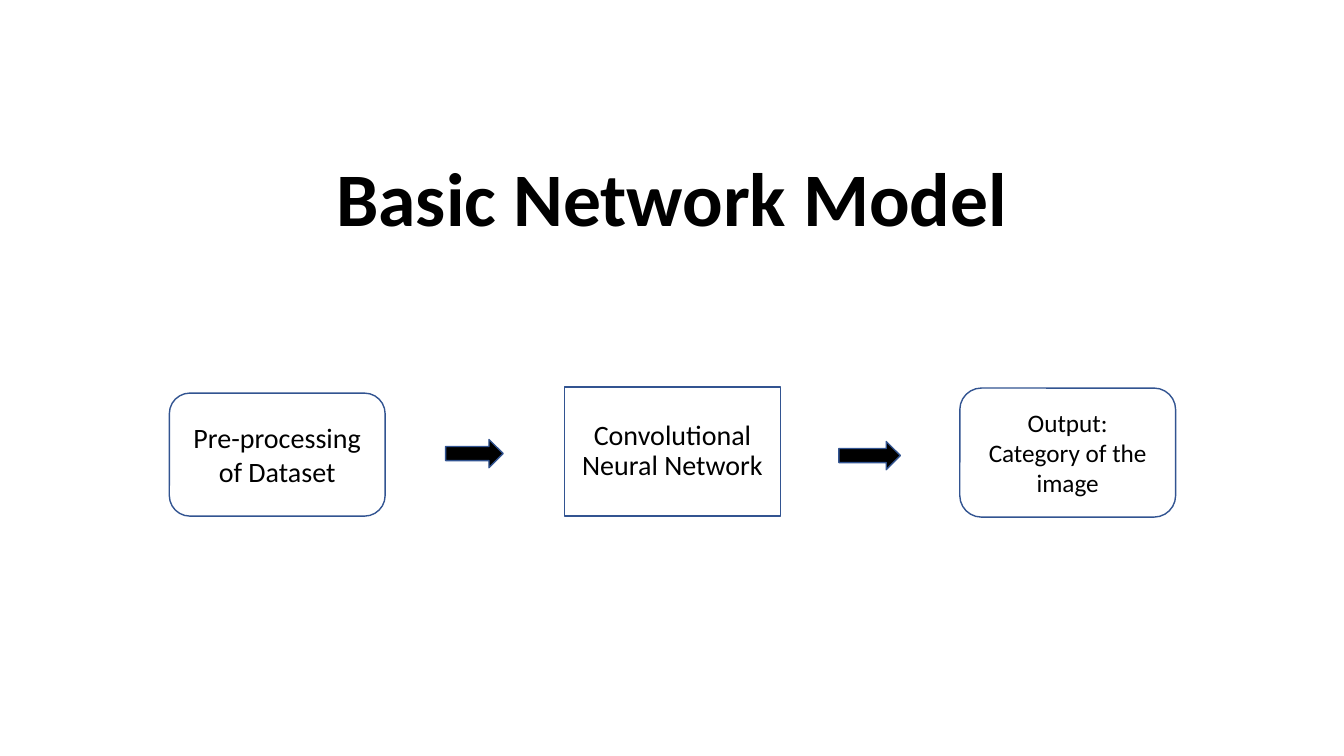
from dataclasses import dataclass

from pptx import Presentation
from pptx.dml.color import RGBColor
from pptx.enum import shapes, text
from pptx.util import Inches, Pt


@dataclass(frozen=True)
class Theme:
    font: str = "Calibri"
    ink: RGBColor = RGBColor(0x00, 0x00, 0x00)
    paper: RGBColor = RGBColor(0xFF, 0xFF, 0xFF)
    outline: RGBColor = RGBColor(0x32, 0x54, 0x91)
    outline_width: float = 1
    title_size: int = 54
    step_size: int = 20
    output_size: int = 18


def write_text(shape, lines, theme, *, size, bold=False, spacing=None,
               anchor=text.MSO_ANCHOR.MIDDLE):
    """Fill a shape with centred paragraphs, one for each line."""
    frame = shape.text_frame
    frame.word_wrap = True
    frame.vertical_anchor = anchor
    for index, line in enumerate(lines):
        para = frame.add_paragraph() if index else frame.paragraphs[0]
        para.alignment = text.PP_ALIGN.CENTER
        if spacing:
            para.line_spacing = spacing
        span = para.add_run()
        span.text = line
        span.font.name = theme.font
        span.font.size = Pt(size)
        span.font.bold = bold
        span.font.color.rgb = theme.ink


class SlideBuilder:
    def __init__(self, page, theme):
        self.page = page
        self.theme = theme

    def title(self, line, left, top, width, height):
        box = self.page.shapes.add_textbox(
            Inches(left), Inches(top), Inches(width), Inches(height))
        write_text(box, [line], self.theme, size=self.theme.title_size,
                   bold=True, spacing=0.9, anchor=text.MSO_ANCHOR.BOTTOM)

    def outlined(self, kind, left, top, width, height, fill):
        shape = self.page.shapes.add_shape(
            kind, Inches(left), Inches(top), Inches(width), Inches(height))
        shape.shadow.inherit = False
        shape.fill.solid()
        shape.fill.fore_color.rgb = fill
        shape.line.color.rgb = self.theme.outline
        shape.line.width = Pt(self.theme.outline_width)
        return shape

    def step(self, kind, lines, left, top, height, **style):
        box = self.outlined(kind, left, top, 2.14, height, self.theme.paper)
        write_text(box, lines, self.theme, **style)

    def arrow(self, left, top, width):
        self.outlined(shapes.MSO_SHAPE.RIGHT_ARROW, left, top, width, 0.28,
                      self.theme.ink)


def main():
    deck = Presentation()
    deck.slide_width, deck.slide_height = Inches(13.33), Inches(7.5)
    theme = Theme()
    slide = SlideBuilder(deck.slides.add_slide(deck.slide_layouts[6]), theme)
    rounded = shapes.MSO_SHAPE.ROUNDED_RECTANGLE
    square = shapes.MSO_SHAPE.RECTANGLE

    # Title
    slide.title("Basic Network Model", 1.92, -1.04, 9.49, 3.5)

    # Processing steps, left to right
    slide.step(rounded, ["Pre-processing of Dataset"], 1.68, 3.9, 1.22,
               size=theme.step_size)
    slide.arrow(4.42, 4.36, 0.57)
    slide.step(square, ["Convolutional Neural Network"], 5.6, 3.84, 1.28,
               size=theme.step_size, spacing=0.9)
    slide.arrow(8.32, 4.38, 0.61)
    slide.step(rounded, ["Output:", "Category of the image"], 9.52, 3.85, 1.28,
               size=theme.output_size)

    deck.save("out.pptx")


if __name__ == "__main__":
    main()
